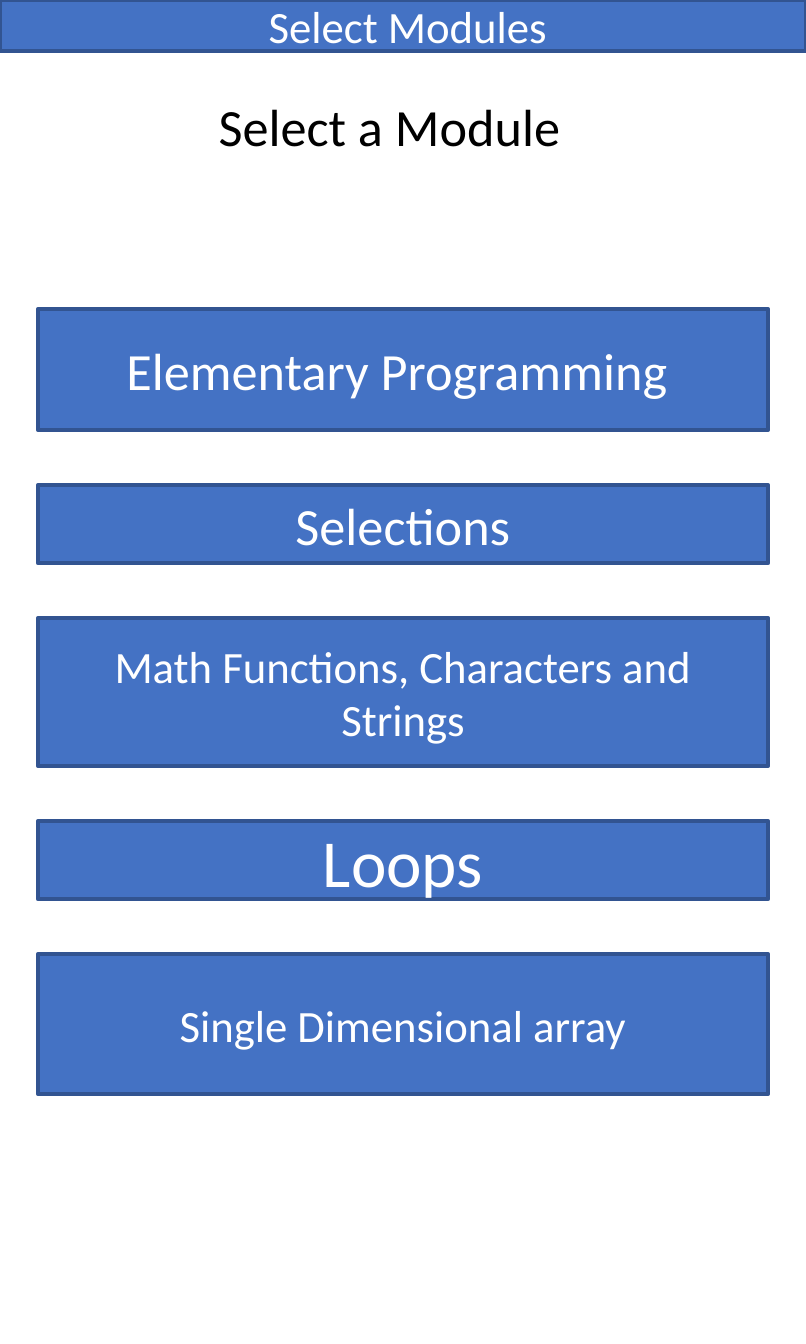
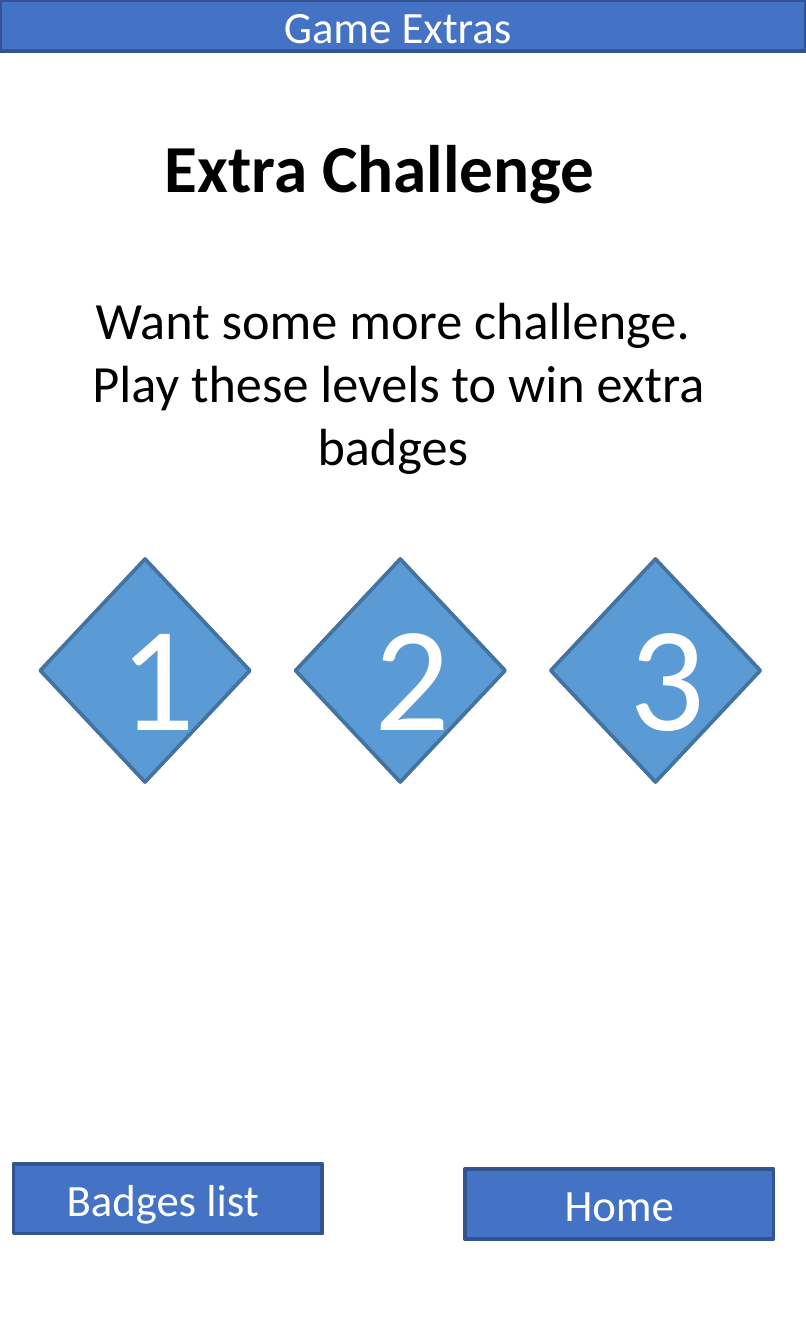
from dataclasses import dataclass

from pptx import Presentation
from pptx.dml.color import RGBColor
from pptx.enum.shapes import MSO_SHAPE
from pptx.enum.text import MSO_ANCHOR, MSO_AUTO_SIZE, PP_ALIGN
from pptx.util import Inches, Pt


@dataclass(frozen=True)
class Theme:
    font: str = "Calibri"
    button_fill: str = "4472C4"
    button_line: str = "325491"
    diamond_fill: str = "5B9BD5"
    diamond_line: str = "43739E"
    light: str = "FFFFFF"
    dark: str = "000000"
    small: int = 12
    medium: int = 14
    large: int = 18
    number: int = 40
    line_width: int = 1


THEME = Theme()
WIDTH, HEIGHT = 3, 5


def write_text(frame, *lines, size, color, bold=False,
               anchor=MSO_ANCHOR.MIDDLE, line_spacing=None):
    """Fill a text frame with one centred paragraph per line."""
    frame.word_wrap = True
    frame.vertical_anchor = anchor
    for index, line in enumerate(lines):
        paragraph = frame.add_paragraph() if index else frame.paragraphs[0]
        paragraph.alignment = PP_ALIGN.CENTER
        paragraph.line_spacing = line_spacing
        run = paragraph.add_run()
        run.text = line
        run.font.name = THEME.font
        run.font.size = Pt(size)
        run.font.bold = bold
        run.font.color.rgb = RGBColor.from_string(color)


def add_box(slide, text, left, top, width, height, size=THEME.small,
            kind=MSO_SHAPE.RECTANGLE, fill=THEME.button_fill,
            line=THEME.button_line):
    """Add a filled, outlined shape with light text."""
    shape = slide.shapes.add_shape(
        kind, Inches(left), Inches(top), Inches(width), Inches(height))
    shape.shadow.inherit = False
    shape.fill.solid()
    shape.fill.fore_color.rgb = RGBColor.from_string(fill)
    shape.line.color.rgb = RGBColor.from_string(line)
    shape.line.width = Pt(THEME.line_width)
    write_text(shape.text_frame, text, size=size, color=THEME.light)


def add_label(slide, *lines, left, top, width, height, grow=True, **style):
    """Add dark text without a frame and return its text frame."""
    label = slide.shapes.add_textbox(
        Inches(left), Inches(top), Inches(width), Inches(height))
    frame = label.text_frame
    write_text(frame, *lines, color=THEME.dark, **style)
    frame.auto_size = (MSO_AUTO_SIZE.SHAPE_TO_FIT_TEXT if grow
                       else MSO_AUTO_SIZE.NONE)
    return frame


def add_screen(presentation, header):
    """Add a blank slide with the header band."""
    slide = presentation.slides.add_slide(presentation.slide_layouts[6])
    add_box(slide, header, 0, 0, WIDTH, 0.19)
    return slide


def add_module_screen(presentation):
    slide = add_screen(presentation, " Select Modules")
    add_label(slide, "Select a Module", left=0.04, top=0.3, width=2.82,
              height=0.34, size=THEME.medium, anchor=MSO_ANCHOR.TOP)

    # Module buttons with equal gaps between first top and last bottom
    modules = [
        ("Elementary Programming ", 0.45, THEME.medium),
        ("Selections", 0.29, THEME.medium),
        ("Math Functions, Characters and Strings", 0.55, THEME.small),
        ("Loops", 0.29, THEME.large),
        ("Single Dimensional array", 0.52, THEME.small),
    ]
    margin, top, bottom = 0.14, 1.15, 4.07
    used = sum(height for _, height, _ in modules)
    gap = (bottom - top - used) / (len(modules) - 1)
    for name, height, size in modules:
        add_box(slide, name, margin, top, WIDTH - 2 * margin, height, size)
        top += height + gap


def add_extras_screen(presentation):
    slide = add_screen(presentation, "Game Extras ")

    # Title, set slightly left of the centre by a wider right inset
    title = add_label(slide, "Extra Challenge", left=0.24, top=0.42,
                      width=2.53, height=0.43, grow=False,
                      size=THEME.large, bold=True, line_spacing=0.9)
    title.margin_right = Inches(0.28)

    # Invitation
    add_label(slide, "Want some more challenge. ",
              "Play these levels to win extra badges ",
              left=0.06, top=1.02, width=2.85, height=0.81,
              size=THEME.medium, anchor=MSO_ANCHOR.TOP)

    # Level diamonds
    for index in range(3):
        add_box(slide, str(index + 1), 0.15 + 0.95 * index, 2.08, 0.78, 0.83,
                size=THEME.number, kind=MSO_SHAPE.DIAMOND,
                fill=THEME.diamond_fill, line=THEME.diamond_line)

    # Navigation buttons
    for name, left, top in [("Badges list ", 0.05, 4.33),
                            ("Home", 1.73, 4.35)]:
        add_box(slide, name, left, top, 1.15, 0.26)


def main():
    presentation = Presentation()
    presentation.slide_width = Inches(WIDTH)
    presentation.slide_height = Inches(HEIGHT)
    add_module_screen(presentation)
    add_extras_screen(presentation)
    presentation.save("out.pptx")


if __name__ == "__main__":
    main()
